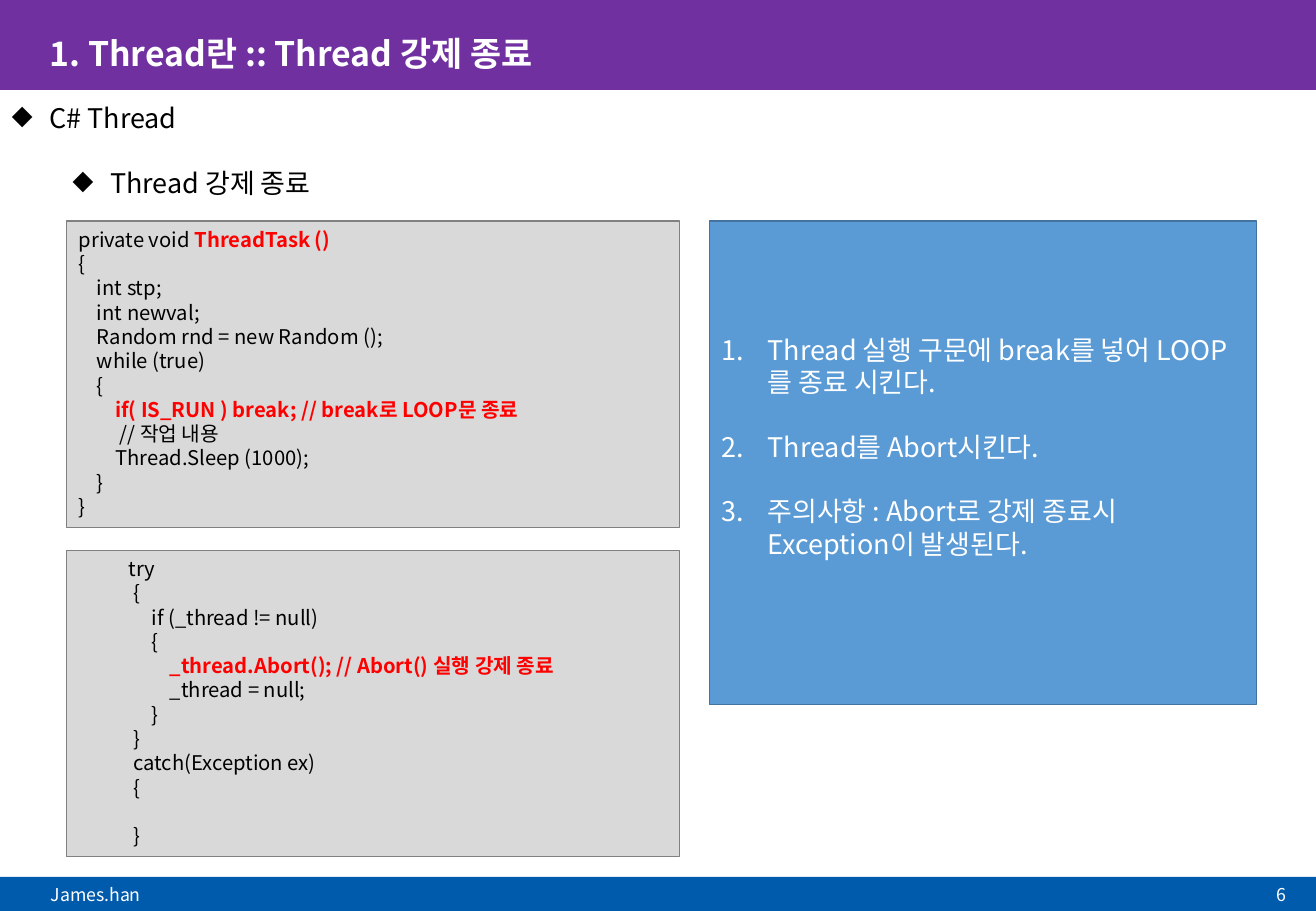
from lxml import etree
from pptx import Presentation
from pptx.dml.color import RGBColor
from pptx.enum.shapes import MSO_SHAPE
from pptx.enum.text import MSO_ANCHOR, PP_ALIGN
from pptx.oxml.ns import qn
from pptx.util import Inches, Pt

RECTANGLE = MSO_SHAPE.RECTANGLE
TOP, MIDDLE = MSO_ANCHOR.TOP, MSO_ANCHOR.MIDDLE
LEFT, RIGHT = PP_ALIGN.LEFT, PP_ALIGN.RIGHT
FONT = "Noto Sans CJK KR"
BLACK, WHITE, RED = "000000", "FFFFFF", "FF0000"
LINE_HEIGHT = 1.2  # line pitch as a multiple of the text size
CODE_INDENT = 0.15  # inches per nesting level

presentation = Presentation()
presentation.slide_width = Inches(10.83)
presentation.slide_height = Inches(7.5)
slide = presentation.slides.add_slide(presentation.slide_layouts[6])


def add_box(left, top, width, height, fill=None, line=None, line_width=1, anchor=TOP):
    """Add a rectangle with optional fill and line; return its text frame."""
    shape = slide.shapes.add_shape(
        RECTANGLE, Inches(left), Inches(top), Inches(width), Inches(height))
    shape.shadow.inherit = False
    if fill:
        shape.fill.solid()
        shape.fill.fore_color.rgb = RGBColor.from_string(fill)
    else:
        shape.fill.background()
    if line:
        shape.line.color.rgb = RGBColor.from_string(line)
        shape.line.width = Pt(line_width)
    else:
        shape.line.fill.background()
    shape.text_frame.word_wrap = True
    shape.text_frame.vertical_anchor = anchor
    return shape.text_frame


def write(frame, text, size, color, bold=False, align=LEFT, margin=0, hanging=0,
          bullet=None, gap_lines=0):
    """Write one paragraph, with an optional bullet and a gap above it."""
    paragraph = frame.paragraphs[0]
    if paragraph.runs:
        paragraph = frame.add_paragraph()
    paragraph.add_run().text = text
    paragraph.alignment = align
    paragraph.line_spacing = Pt(size * LINE_HEIGHT)
    paragraph.space_before = Pt(size * LINE_HEIGHT * gap_lines)
    properties = paragraph._p.get_or_add_pPr()
    properties.set("marL", str(Inches(margin)))
    properties.set("indent", str(-Inches(hanging)))
    if bullet == "1.":
        etree.SubElement(properties, qn("a:buAutoNum"), type="arabicPeriod")
    elif bullet:
        etree.SubElement(properties, qn("a:buChar"), char=bullet)
    font = paragraph.font
    font.size, font.bold, font.name = Pt(size), bold, FONT
    font.color.rgb = RGBColor.from_string(color)
    etree.SubElement(properties.find(qn("a:defRPr")), qn("a:ea"), typeface=FONT)
    return paragraph


# Header and footer bands
add_box(0, 0, 10.83, 0.74, fill="7030A0")
add_box(0, 7.22, 10.83, 0.28, fill="005BAC")
write(add_box(0.32, 7.22, 7.39, 0.28, anchor=MIDDLE), "James.han", 10.5, WHITE)
write(add_box(9.17, 7.24, 1.51, 0.25, anchor=MIDDLE), "6", 10.5, WHITE, align=RIGHT)
write(add_box(0.31, 0.25, 10.23, 0.38, anchor=MIDDLE),
      "1. Thread란 :: Thread 강제 종료", 20, WHITE, bold=True)

# Topic outline
outline = add_box(0, 0.79, 10.83, 6.45)
write(outline, "C# Thread", 16, BLACK, margin=0.31, hanging=0.31, bullet="◆")
write(outline, "Thread 강제 종료", 16, BLACK, margin=0.81, hanging=0.31, bullet="◆",
      gap_lines=1)

# Code panels: (nesting level, code, highlighted, blank lines above)
abort_code = [
    (2.75, "try", False, 0),
    (3, "{", False, 0),
    (4, "if (_thread != null)", False, 0),
    (4, "{", False, 0),
    (5, "_thread.Abort(); // Abort() 실행 강제 종료", True, 0),
    (5, "_thread = null;", False, 0),
    (4, "}", False, 0),
    (3, "}", False, 0),
    (3, "catch(Exception ex)", False, 0),
    (3, "{", False, 0),
    (3, "}", False, 1),
]
task_code = [
    (0, "private void ", False, 0),
    (0, "{", False, 0),
    (1, "int stp;", False, 0),
    (1, "int newval;", False, 0),
    (1, "Random rnd = new Random ();", False, 0),
    (1, "while (true)", False, 0),
    (1, "{", False, 0),
    (2, "if( IS_RUN ) break; // break로 LOOP문 종료", True, 0),
    (2.25, "// 작업 내용", False, 0),
    (2, "Thread.Sleep (1000);", False, 0),
    (1, "}", False, 0),
    (0, "}", False, 0),
]
for panel_top, code in ((4.53, abort_code), (1.82, task_code)):
    panel = add_box(0.55, panel_top, 5.04, 2.52, "D9D9D9", "808080", 0.75)
    for level, text, highlighted, gap in code:
        write(panel, text, 12, RED if highlighted else BLACK, bold=highlighted,
              margin=level * CODE_INDENT, gap_lines=gap)

# Highlighted method name in the task signature
method_name = panel.paragraphs[0].add_run()
method_name.text = "ThreadTask ()"
method_name.font.bold = True
method_name.font.color.rgb = RGBColor.from_string(RED)

# Numbered explanation, set slightly above the middle of its panel
explanation = add_box(5.84, 1.82, 4.5, 3.98, "5B9BD5", "43739E", 1, MIDDLE)
explanation.margin_bottom = Inches(0.32)
steps = [
    "Thread 실행 구문에 break를 넣어 LOOP를 종료 시킨다.",
    "Thread를 Abort시킨다.",
    "주의사항 : Abort로 강제 종료시 Exception이 발생된다.",
]
for number, step in enumerate(steps):
    write(explanation, step, 16, WHITE, margin=0.38, hanging=0.38, bullet="1.",
          gap_lines=1 if number else 0)

presentation.save("out.pptx")
